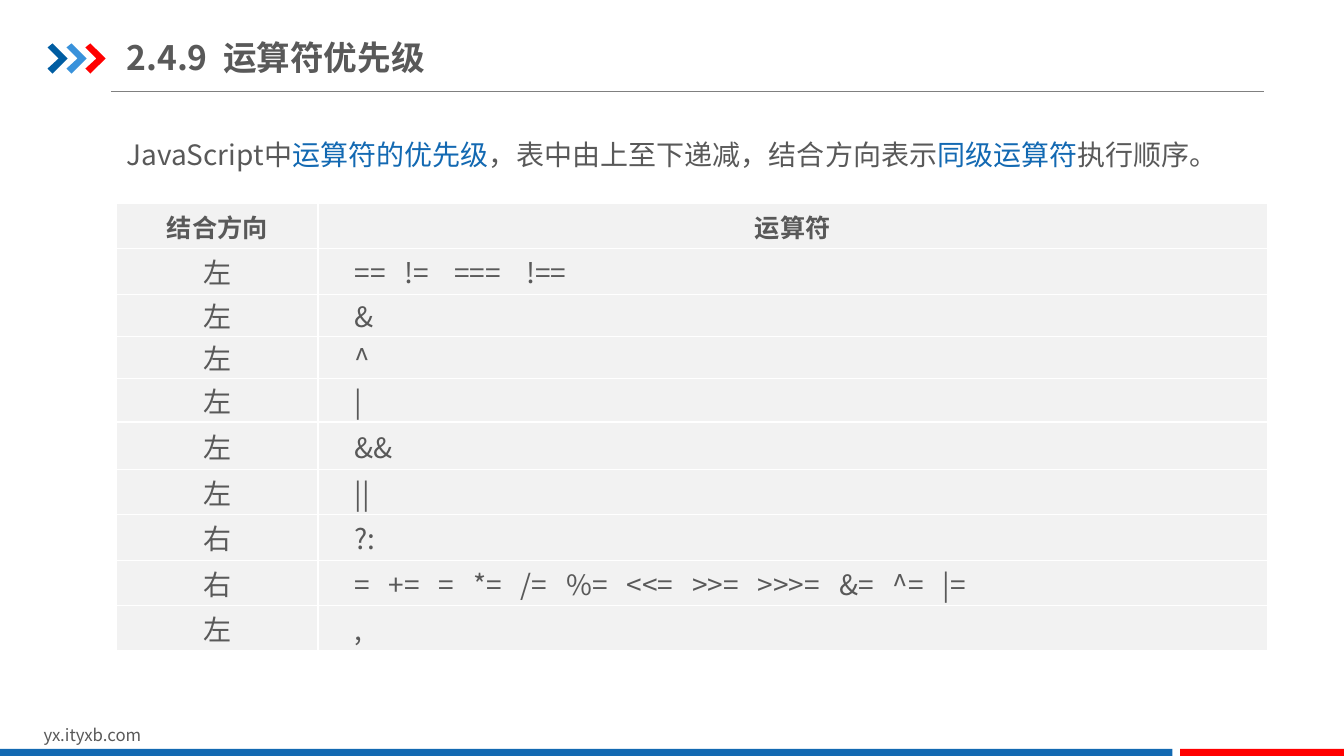
from dataclasses import dataclass

from lxml.etree import SubElement
from pptx import Presentation
from pptx.dml.color import RGBColor
from pptx.enum.shapes import MSO_CONNECTOR, MSO_SHAPE
from pptx.enum.text import MSO_ANCHOR, MSO_AUTO_SIZE, PP_ALIGN
from pptx.oxml.ns import qn
from pptx.util import Pt


@dataclass(frozen=True)
class Theme:
    font: str = "Noto Sans CJK SC"
    text: str = "595959"
    blue: str = "1369B2"
    dark_blue: str = "005DA2"
    light_blue: str = "3992DB"
    red: str = "FF0000"
    rule: str = "808080"
    cell: str = "F2F2F2"
    border: str = "FFFFFF"
    title_size: int = 24
    body_size: int = 20
    header_size: int = 18
    footer_size: int = 12


THEME = Theme()

TITLE = ("2.4.9", "运算符优先级")
TITLE_GAP = 5.4
INTRO = [
    ("JavaScript中", THEME.text),
    ("运算符的优先级", THEME.blue),
    ("，表中由上至下递减，结合方向表示", THEME.text),
    ("同级运算符", THEME.blue),
    ("执行顺序。", THEME.text),
]
HEADINGS = ("结合方向", "运算符")
HEADER_HEIGHT = 32.4
# Direction, operators, row height
PRECEDENCE = [
    ("左", "== != === !==", 32.4),
    ("左", "&", 30.24),
    ("左", "^", 30.24),
    ("左", "|", 30.96),
    ("左", "&&", 33.84),
    ("左", "||", 32.4),
    ("右", "?:", 32.4),
    ("右", "= += = *= /= %= <<= >>= >>>= &= ^= |=", 32.4),
    ("左", ",", 32.4),
]
OPERATOR_INDENT = 21
# Extra width of the space before an operator; strict comparisons stand further apart
OPERATOR_GAP = 9
WIDE_GAPS = {"===": 13.5, "!==": 13.5}


def rgb(code):
    return RGBColor.from_string(code)


def style_run(run, size, color=THEME.text, bold=False):
    run.font.name = THEME.font
    run.font.size = Pt(size)
    run.font.bold = bold
    run.font.color.rgb = rgb(color)
    SubElement(run.font._element, qn("a:ea"), typeface=THEME.font)


def add_spaced_words(paragraph, words, gaps, size, bold=False):
    """Write words separated by single spaces, each widened by its gap in points."""
    for index, word in enumerate(words):
        if index:
            space = paragraph.add_run()
            space.text = " "
            style_run(space, size, bold=bold)
            space.font._element.set("spc", str(round(gaps[index - 1] * 100)))
        run = paragraph.add_run()
        run.text = word
        style_run(run, size, bold=bold)


def add_text_frame(slide, left, top, width, height):
    frame = slide.shapes.add_textbox(Pt(left), Pt(top), Pt(width), Pt(height)).text_frame
    frame.word_wrap = True
    return frame


def fill_plain(shape, color):
    shape.shadow.inherit = False
    shape.fill.solid()
    shape.fill.fore_color.rgb = rgb(color)
    shape.line.fill.background()


def add_chevrons(slide, left, top):
    outline = [(0, 2.9), (3.6, 0), (14.4, 10.8), (3.6, 21.6), (0, 18), (7.9, 10.8)]
    for index, color in enumerate((THEME.dark_blue, THEME.light_blue, THEME.red)):
        corners = [(Pt(left + index * 13.5 + x), Pt(top + y)) for x, y in outline]
        builder = slide.shapes.build_freeform(*corners[0])
        builder.add_line_segments(corners[1:], close=True)
        fill_plain(builder.convert_to_shape(), color)


def add_header(slide, left, top, width):
    """Chevrons, title and the rule below them."""
    add_chevrons(slide, left, top + 10)
    rule_y = Pt(top + 44.5)
    rule = slide.shapes.add_connector(
        MSO_CONNECTOR.STRAIGHT, Pt(left + 45.2), rule_y, Pt(left + width), rule_y)
    rule.line.color.rgb = rgb(THEME.rule)
    rule.line.width = Pt(0.75)
    SubElement(rule._element.spPr, qn("a:effectLst"))

    frame = add_text_frame(slide, left + 56.4, top, 412.5, 39.6)
    frame.vertical_anchor = MSO_ANCHOR.MIDDLE
    frame.margin_left = frame.margin_right = 0
    frame.margin_top = frame.margin_bottom = Pt(5)
    add_spaced_words(frame.paragraphs[0], TITLE, [TITLE_GAP], THEME.title_size, bold=True)


def add_intro(slide, left, top, width, height):
    frame = add_text_frame(slide, left, top, width, height)
    frame.auto_size = MSO_AUTO_SIZE.SHAPE_TO_FIT_TEXT
    sentence = frame.paragraphs[0]
    sentence.line_spacing = 1.5
    for words, color in INTRO:
        run = sentence.add_run()
        run.text = words
        style_run(run, THEME.body_size, color)


def format_cell(cell):
    cell.vertical_anchor = MSO_ANCHOR.MIDDLE
    cell.margin_left = cell.margin_right = Pt(5)
    cell.margin_top = cell.margin_bottom = 0
    properties = cell._tc.get_or_add_tcPr()
    for side in ("lnL", "lnR", "lnT", "lnB"):
        border = SubElement(properties, qn(f"a:{side}"), w=str(Pt(1)))
        SubElement(SubElement(border, qn("a:solidFill")), qn("a:srgbClr"), val=THEME.border)
    cell.fill.solid()
    cell.fill.fore_color.rgb = rgb(THEME.cell)


def write_centred(paragraph, words, size, bold=False):
    paragraph.alignment = PP_ALIGN.CENTER
    paragraph.text = words
    style_run(paragraph.runs[0], size, bold=bold)


def write_operators(paragraph, operators):
    properties = paragraph._p.get_or_add_pPr()
    properties.set("marL", "0")
    properties.set("indent", str(Pt(OPERATOR_INDENT)))
    gaps = [WIDE_GAPS.get(operator, OPERATOR_GAP) for operator in operators[1:]]
    add_spaced_words(paragraph, operators, gaps, THEME.body_size)


def add_precedence_table(slide, left, top, width, direction_width):
    heights = [HEADER_HEIGHT] + [height for _, _, height in PRECEDENCE]
    table = slide.shapes.add_table(
        len(heights), 2, Pt(left), Pt(top), Pt(width), Pt(sum(heights))).table
    table.columns[0].width = Pt(direction_width)
    table.columns[1].width = Pt(width - direction_width)
    for row, height in zip(table.rows, heights):
        row.height = Pt(height)
        for cell in row.cells:
            format_cell(cell)

    def paragraph_at(row_index, column):
        return table.cell(row_index, column).text_frame.paragraphs[0]

    for column, heading in enumerate(HEADINGS):
        write_centred(paragraph_at(0, column), heading, THEME.header_size, bold=True)
    for row_index, (direction, operators, _) in enumerate(PRECEDENCE, start=1):
        write_centred(paragraph_at(row_index, 0), direction, THEME.body_size)
        write_operators(paragraph_at(row_index, 1), operators.split())


def add_footer(slide, top, width):
    """Web address above a two-colour band."""
    frame = add_text_frame(slide, 24, top, 229, 21.6)
    frame.auto_size = MSO_AUTO_SIZE.SHAPE_TO_FIT_TEXT
    frame.text = "yx.ityxb.com"
    style_run(frame.paragraphs[0].runs[0], THEME.footer_size)
    blue_end, red_start = width - 122.6, width - 117
    for start, end, color in ((0, blue_end, THEME.blue), (red_start, width, THEME.red)):
        band = slide.shapes.add_shape(
            MSO_SHAPE.RECTANGLE, Pt(start), Pt(top + 21), Pt(end - start), Pt(6))
        fill_plain(band, color)


def main():
    presentation = Presentation()
    presentation.slide_width, presentation.slide_height = Pt(960), Pt(540)
    slide = presentation.slides.add_slide(presentation.slide_layouts[6])
    add_header(slide, left=34, top=21, width=869)
    add_intro(slide, left=83.2, top=82.8, width=822, height=39.6)
    add_precedence_table(slide, left=83.2, top=145.3, width=822, direction_width=144)
    add_footer(slide, top=514, width=960)
    presentation.save("out.pptx")


if __name__ == "__main__":
    main()
